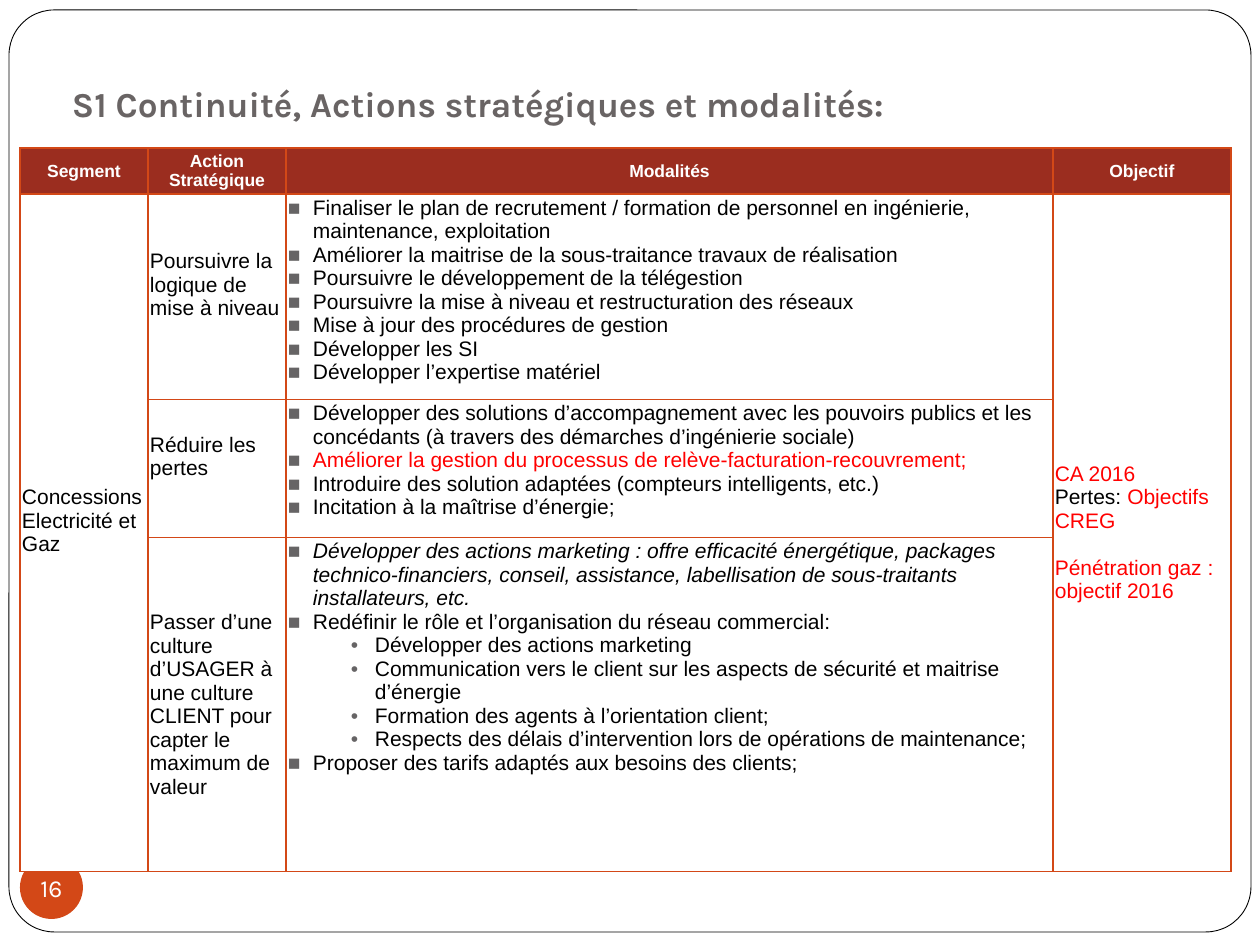
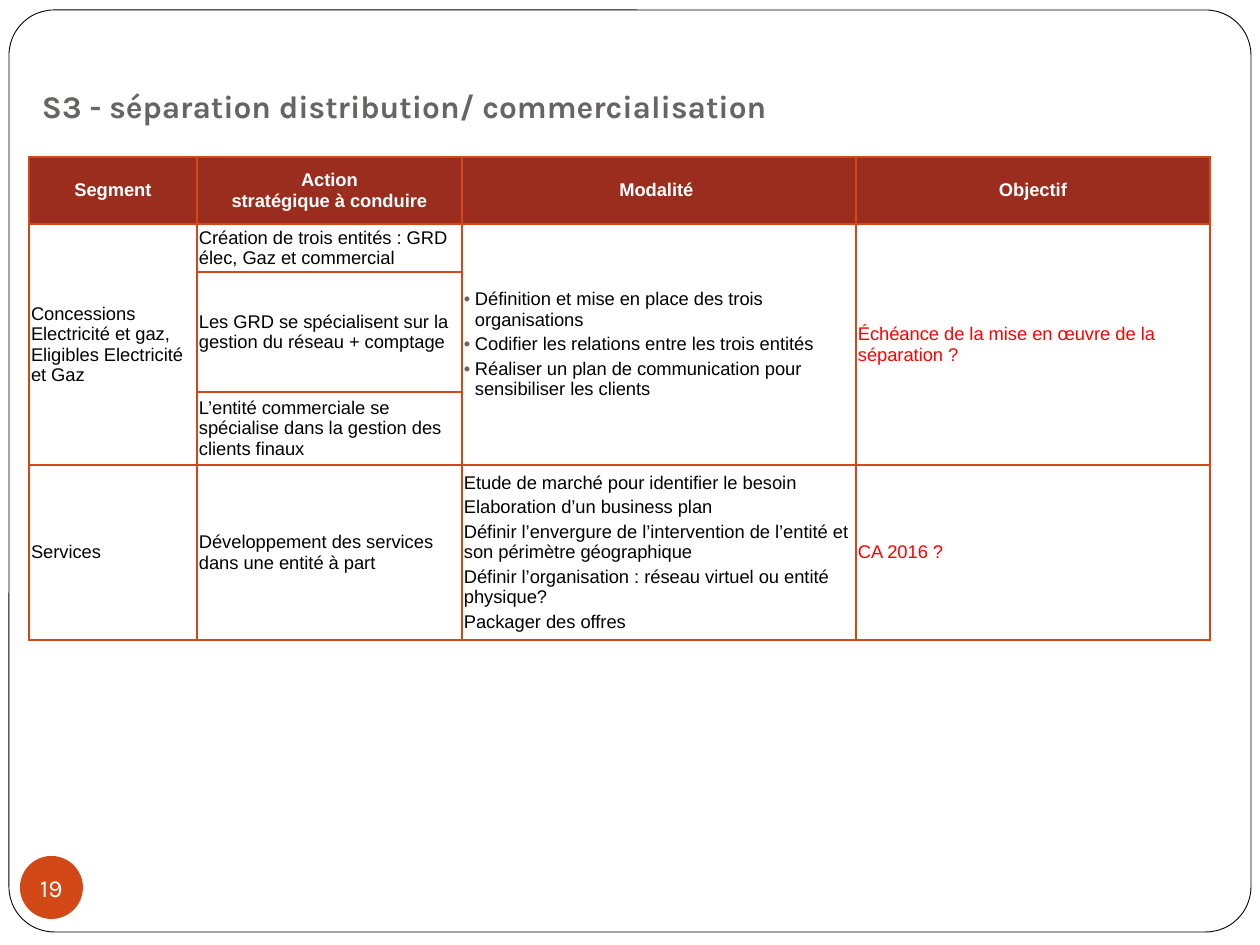
import dataclasses

import lxml.etree
import pptx
import pptx.dml.color
import pptx.enum.shapes
import pptx.enum.text
import pptx.oxml.ns
import pptx.util

RGBColor = pptx.dml.color.RGBColor
MSO_SHAPE = pptx.enum.shapes.MSO_SHAPE
ANCHOR = pptx.enum.text.MSO_ANCHOR
ALIGN = pptx.enum.text.PP_ALIGN
qn = pptx.oxml.ns.qn

WHITE = RGBColor(0xFF, 0xFF, 0xFF)
BLACK = RGBColor(0x00, 0x00, 0x00)
RED = RGBColor(0xFF, 0x00, 0x00)
ORANGE = RGBColor(0xD3, 0x48, 0x17)
BRICK = RGBColor(0x9B, 0x2D, 0x1F)
GREY = RGBColor(0x69, 0x64, 0x64)
BULLET_GREY = RGBColor(0x66, 0x64, 0x65)

HEAD_FONT = "Karla"
BODY_FONT = "Arial"
EMU_PER_PX = 914400 / 126


def px(n):
    return pptx.util.Emu(round(n * EMU_PER_PX))


@dataclasses.dataclass
class Run:
    text: str
    color: RGBColor = BLACK
    italic: bool = False


@dataclasses.dataclass
class Para:
    runs: list
    bullet: str = ""
    left: int = 0
    hang: int = 0
    before: float = 0


@dataclasses.dataclass
class Cell:
    paras: list
    anchor: ANCHOR = ANCHOR.MIDDLE
    bottom: int = 2


def text(*lines, color=BLACK, bottom=2):
    return Cell([Para([Run(line, color)]) for line in lines], bottom=bottom)


def square(line, color=BLACK, italic=False):
    return Para([Run(line, color, italic)], "■", 25, 25)


def dot(line, left=87, hang=24):
    return Para([Run(line)], "•", left, hang)


def top(*paras):
    return Cell(list(paras), ANCHOR.TOP)


class Deck:
    def __init__(self):
        self.prs = pptx.Presentation()
        self.prs.slide_width = px(1260)
        self.prs.slide_height = px(945)
        self.s = None

    def slide(self, number, title, size, box):
        self.s = self.prs.slides.add_slide(self.prs.slide_layouts[6])
        frame = self.shape(MSO_SHAPE.ROUNDED_RECTANGLE, (9, 10, 1242, 922), WHITE)
        frame.adjustments[0] = 0.049
        frame.line.color.rgb = BLACK
        frame.line.width = pptx.util.Pt(0.5)
        self.badge(number)
        self.title(title, size, box)

    def shape(self, kind, box, fill):
        sp = self.s.shapes.add_shape(kind, *map(px, box))
        sp.shadow.inherit = False
        sp.fill.solid()
        sp.fill.fore_color.rgb = fill
        sp.line.fill.background()
        return sp

    def badge(self, number):
        sp = self.shape(MSO_SHAPE.OVAL, (20, 856, 63, 63), ORANGE)
        tf = sp.text_frame
        tf.word_wrap = False
        tf.vertical_anchor = ANCHOR.MIDDLE
        self.margins(tf, 0, 0, 0, 0)
        p = tf.paragraphs[0]
        p.alignment = ALIGN.CENTER
        self.run(p, str(number), 14, WHITE, HEAD_FONT)

    def title(self, title, size, box):
        tf = self.s.shapes.add_textbox(*map(px, box)).text_frame
        tf.word_wrap = True
        tf.vertical_anchor = ANCHOR.BOTTOM
        self.margins(tf, 13, 6, 13, 13)
        self.run(tf.paragraphs[0], title, size, GREY, HEAD_FONT, bold=True)

    def margins(self, target, left, top, right, bottom):
        target.margin_left, target.margin_top = px(left), px(top)
        target.margin_right, target.margin_bottom = px(right), px(bottom)

    def run(self, p, line, size, color, font, bold=False, italic=False):
        r = p.add_run()
        r.text = line
        r.font.size = pptx.util.Pt(size)
        r.font.name = font
        r.font.bold = bold
        r.font.italic = italic
        r.font.color.rgb = color

    def bullet(self, p, para):
        pPr = p._p.get_or_add_pPr()
        pPr.set("marL", str(px(para.left)))
        pPr.set("indent", str(-px(para.hang)))
        clr = lxml.etree.SubElement(pPr, qn("a:buClr"))
        lxml.etree.SubElement(clr, qn("a:srgbClr"), val=str(BULLET_GREY))
        lxml.etree.SubElement(pPr, qn("a:buFont"), typeface=BODY_FONT)
        lxml.etree.SubElement(pPr, qn("a:buChar"), char=para.bullet)

    def borders(self, cell):
        tcPr = cell._tc.get_or_add_tcPr()
        for i, side in enumerate(("a:lnL", "a:lnR", "a:lnT", "a:lnB")):
            ln = lxml.etree.Element(qn(side), w=str(pptx.util.Pt(1)))
            fill = lxml.etree.SubElement(ln, qn("a:solidFill"))
            lxml.etree.SubElement(fill, qn("a:srgbClr"), val=str(ORANGE))
            tcPr.insert(i, ln)

    def paint(self, cell, fill):
        cell.fill.solid()
        cell.fill.fore_color.rgb = fill
        self.borders(cell)

    def header(self, cell, label, size):
        cell.vertical_anchor = ANCHOR.MIDDLE
        self.margins(cell, 2, 2, 2, 2)
        p = cell.text_frame.paragraphs[0]
        p.alignment = ALIGN.CENTER
        for i, line in enumerate(label.split("\n")):
            if i:
                p.add_line_break()
            self.run(p, line, size, WHITE, BODY_FONT, bold=True)

    def body(self, cell, content, size, gap):
        cell.vertical_anchor = content.anchor
        self.margins(cell, 2, 2, 2, content.bottom)
        tf = cell.text_frame
        for i, para in enumerate(content.paras):
            p = tf.add_paragraph() if i else tf.paragraphs[0]
            p.space_before = pptx.util.Pt(para.before + (gap if i else 0))
            if para.bullet:
                self.bullet(p, para)
            for r in para.runs:
                self.run(p, r.text, size, r.color, BODY_FONT, italic=r.italic)

    def table(self, origin, widths, heights, labels, rows, head_size, size, gap=0):
        extent = (sum(widths), sum(heights))
        gf = self.s.shapes.add_table(
            len(heights), len(widths), *map(px, origin + extent))
        tbl = gf.table
        tbl.first_row = tbl.horz_banding = False
        for col, w in zip(tbl.columns, widths):
            col.width = px(w)
        for row, h in zip(tbl.rows, heights):
            row.height = px(h)
        for c, label in enumerate(labels):
            self.paint(tbl.cell(0, c), BRICK)
            self.header(tbl.cell(0, c), label, head_size)
        for n, row in enumerate(rows, 1):
            for c, content in enumerate(row):
                cell = tbl.cell(n, c)
                self.paint(cell, WHITE)
                if content is None:
                    continue
                last = n
                while last < len(rows) and rows[last][c] is None:
                    last += 1
                if last > n:
                    cell.merge(tbl.cell(last, c))
                self.body(cell, content, size, gap)


def continuity(deck):
    deck.slide(16, "S1 Continuité, Actions stratégiques et modalités:", 20,
               (59, 38, 1105, 100))
    goals = Cell([
        Para([Run("CA 2016", RED)]),
        Para([Run("Pertes: "), Run("Objectifs CREG", RED)]),
        Para([Run("Pénétration gaz : objectif 2016", RED)], before=13.4),
    ])
    upgrade = top(
        square("Finaliser le plan de recrutement / formation de personnel en "
               "ingénierie, maintenance, exploitation"),
        square("Améliorer la maitrise de la sous-traitance travaux de réalisation"),
        square("Poursuivre le développement de la télégestion"),
        square("Poursuivre la mise à niveau et restructuration des réseaux"),
        square("Mise à jour des procédures de gestion"),
        square("Développer les SI"),
        square("Développer l’expertise matériel"),
    )
    losses = top(
        square("Développer des solutions d’accompagnement avec les pouvoirs publics "
               "et les concédants (à travers des démarches d’ingénierie sociale)"),
        square("Améliorer la gestion du processus de "
               "relève-facturation-recouvrement;", RED),
        square("Introduire des solution adaptées (compteurs intelligents, etc.)"),
        square("Incitation à la maîtrise d’énergie;"),
    )
    customers = top(
        square("Développer des actions marketing : offre efficacité énergétique, "
               "packages technico-financiers, conseil, assistance, labellisation "
               "de sous-traitants installateurs, etc.", italic=True),
        square("Redéfinir le rôle et l’organisation du réseau commercial:"),
        dot("Développer des actions marketing"),
        dot("Communication vers le client sur les aspects de sécurité et maitrise "
            "d’énergie"),
        dot("Formation des agents à l’orientation client;"),
        dot("Respects des délais d’intervention lors de opérations de maintenance;"),
        square("Proposer des tarifs adaptés aux besoins des clients;"),
    )
    deck.table(
        (20, 148), (128, 138, 767, 178), (46, 193, 138, 334),
        ("Segment", "Action Stratégique", "Modalités", "Objectif"),
        [
            [text("Concessions Electricité et Gaz", bottom=26),
             text("Poursuivre la logique de mise à niveau", bottom=26),
             upgrade, goals],
            [None, text("Réduire les pertes", bottom=26), losses, None],
            [None,
             text("Passer d’une culture d’USAGER à une culture CLIENT pour capter "
                  "le maximum de valeur"),
             customers, None],
        ],
        head_size=10, size=12)


def separation(deck):
    deck.slide(19, "S3 - séparation distribution/ commercialisation", 18,
               (29, 69, 1134, 69))
    setup = Cell([dot(line, 11, 11) for line in (
        "Définition et mise en place des trois organisations",
        "Codifier les relations entre les trois entités",
        "Réaliser un plan de communication pour sensibiliser les clients",
    )])
    services = text(
        "Etude de marché pour identifier le besoin",
        "Elaboration d’un business plan",
        "Définir l’envergure de l’intervention de l’entité et son périmètre "
        "géographique",
        "Définir l’organisation : réseau virtuel ou entité physique?",
        "Packager des offres",
    )
    deck.table(
        (29, 157), (168, 265, 394, 354), (67, 46, 120, 73, 163),
        ("Segment", "Action\nstratégique à conduire", "Modalité ", "Objectif"),
        [
            [text("Concessions Electricité et gaz, Eligibles Electricité et Gaz"),
             text("Création de trois entités : GRD élec, Gaz et commercial"),
             setup,
             text("Échéance de la mise en œuvre de la séparation ?", color=RED)],
            [None,
             text("Les GRD se spécialisent sur la gestion du réseau + comptage"),
             None, None],
            [None,
             text("L’entité commerciale se spécialise dans la gestion des clients "
                  "finaux"),
             None, None],
            [text("Services"),
             text("Développement des services dans une entité à part"),
             services,
             text("CA 2016 ?", color=RED)],
        ],
        head_size=10.5, size=10.5, gap=2.4)


def main():
    deck = Deck()
    continuity(deck)
    separation(deck)
    deck.prs.save("out.pptx")


if __name__ == "__main__":
    main()
